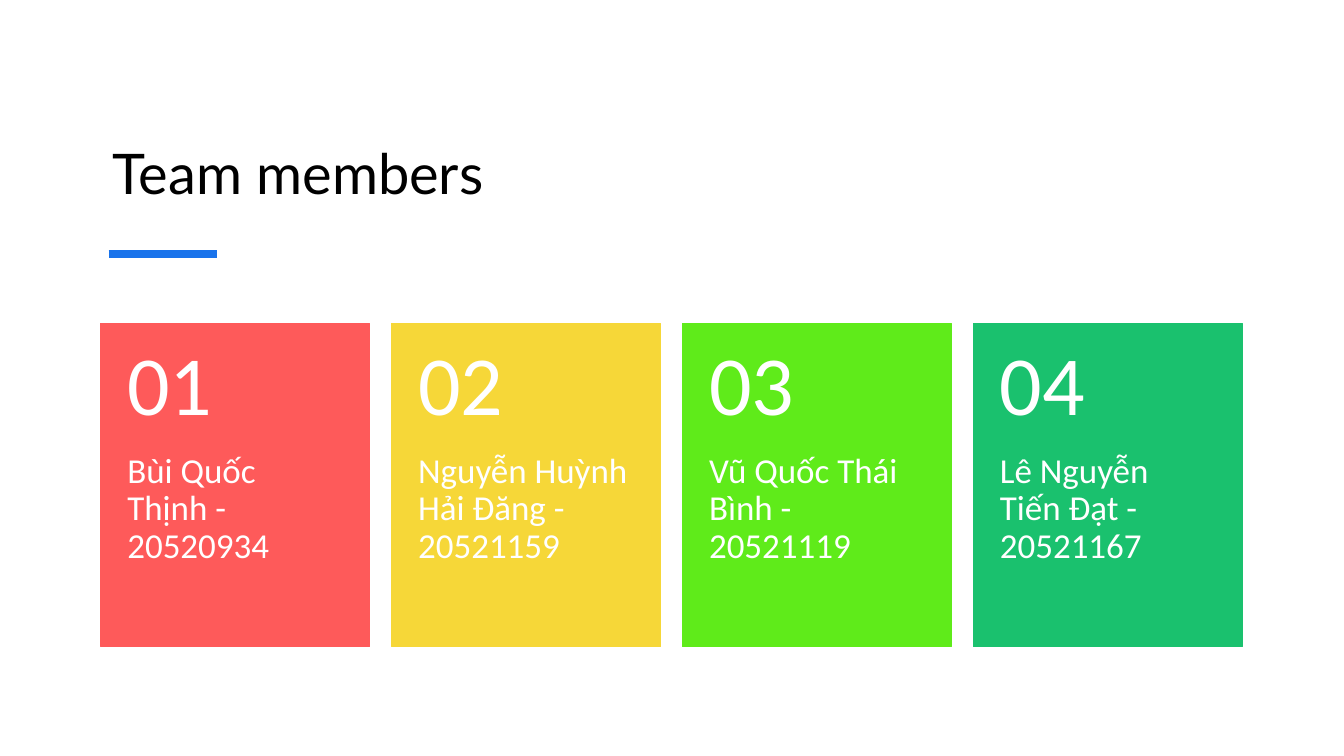
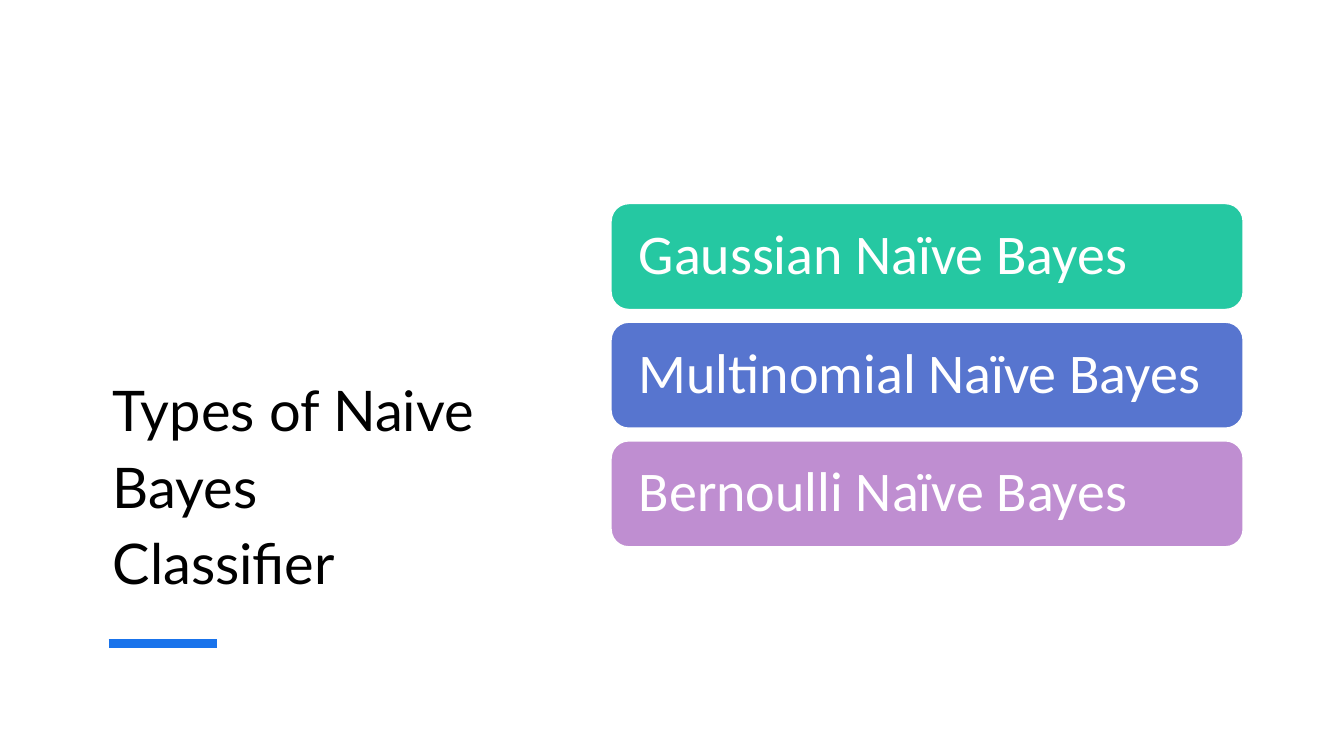
from lxml import etree
from pptx import Presentation
from pptx.dml.color import RGBColor
from pptx.enum import shapes, text
from pptx.oxml.ns import qn
from pptx.util import Cm, Pt

BLACK = RGBColor(0x00, 0x00, 0x00)
WHITE = RGBColor(0xFF, 0xFF, 0xFF)
ACCENT = RGBColor(0x19, 0x73, 0xEB)
RED = RGBColor(0xFE, 0x5A, 0x5A)
YELLOW = RGBColor(0xF6, 0xD7, 0x38)
LIME = RGBColor(0x5F, 0xEB, 0x1A)
GREEN = RGBColor(0x1A, 0xC1, 0x6E)
TEAL = RGBColor(0x25, 0xC8, 0xA2)
BLUE = RGBColor(0x57, 0x75, 0xCF)
PURPLE = RGBColor(0xBF, 0x8E, 0xD1)

TITLE_FONT = "Lato"
BODY_FONT = "Calibri"
MARGIN = 2.54

MEMBERS = [
    ("Bùi Quốc Thịnh - 20520934", RED),
    ("Nguyễn Huỳnh Hải Đăng - 20521159", YELLOW),
    ("Vũ Quốc Thái Bình - 20521119", LIME),
    ("Lê Nguyễn Tiến Đạt - 20521167", GREEN),
]
CLASSIFIERS = [
    ("Gaussian Naïve Bayes", TEAL),
    ("Multinomial Naïve Bayes", BLUE),
    ("Bernoulli Naïve Bayes", PURPLE),
]


class Deck:
    def __init__(self):
        self.prs = Presentation()
        self.prs.slide_width = Cm(33.87)
        self.prs.slide_height = Cm(19.05)
        self.s = None

    def add_slide(self):
        self.s = self.prs.slides.add_slide(self.prs.slide_layouts[5])

    def set_text(self, sp, content, size, insets, anchor,
                 font=BODY_FONT, color=WHITE, spacing=0.9):
        tf = sp.text_frame
        tf.text = content
        tf.word_wrap = True
        tf.auto_size = text.MSO_AUTO_SIZE.NONE
        tf.vertical_anchor = anchor
        tf.margin_left, tf.margin_top, tf.margin_right, tf.margin_bottom = map(Cm, insets)
        p = tf.paragraphs[0]
        p.alignment = text.PP_ALIGN.LEFT
        p.line_spacing = spacing
        for r in p.runs:
            r.font.name = font
            r.font.size = Pt(size)
            r.font.color.rgb = color

    def title(self, content, top, width, height, rule_y):
        sp = self.s.shapes.title
        sp.left, sp.top, sp.width, sp.height = map(Cm, (MARGIN, top, width, height))
        self.set_text(sp, content, 40, (0.3, 0.3, 0.3, 0.25), text.MSO_ANCHOR.BOTTOM,
                      TITLE_FONT, BLACK, 1.14)
        rule = self.s.shapes.add_connector(
            shapes.MSO_CONNECTOR.STRAIGHT, Cm(2.74), Cm(rule_y), Cm(5.46), Cm(rule_y))
        rule.line.color.rgb = ACCENT
        rule.line.width = Pt(6)
        etree.SubElement(rule._element.spPr, qn("a:effectLst"))

    def box(self, kind, left, top, width, height, fill, line):
        sp = self.s.shapes.add_shape(kind, *map(Cm, (left, top, width, height)))
        sp.shadow.inherit = False
        sp.fill.solid()
        sp.fill.fore_color.rgb = fill
        sp.line.color.rgb = line
        sp.line.width = Pt(1)
        return sp

    def label(self, content, left, top, width, height, size, insets, anchor):
        sp = self.s.shapes.add_textbox(*map(Cm, (left, top, width, height)))
        self.set_text(sp, content, size, insets, anchor)

    def card(self, number, name, left, color):
        top, width, height, number_height = 8.15, 6.78, 8.15, 3.26
        self.box(shapes.MSO_SHAPE.RECTANGLE, left, top, width, height, color, color)
        self.label(f"{number:02}", left, top, width, number_height, 60,
                   (0.67, 0.46, 0.67, 0.46), text.MSO_ANCHOR.MIDDLE)
        self.label(name, left, top + number_height, width, height - number_height, 25,
                   (0.67, 0, 0.67, 0.91), text.MSO_ANCHOR.TOP)

    def bar(self, content, top, color):
        sp = self.box(shapes.MSO_SHAPE.ROUNDED_RECTANGLE, 15.4, top, 15.93, 2.67,
                      color, WHITE)
        self.set_text(sp, content, 40, (0.57, 0.45, 0.57, 0.45), text.MSO_ANCHOR.MIDDLE)


def main():
    deck = Deck()

    deck.add_slide()
    deck.title("Team members", 1.57, 28.09, 3.86, 6.4)
    for i, (name, color) in enumerate(MEMBERS):
        deck.card(i + 1, name, MARGIN + i * 7.33, color)

    deck.add_slide()
    deck.title("Types of Naive Bayes Classifier", 2.54, 9.86, 12.73, 16.21)
    for i, (name, color) in enumerate(CLASSIFIERS):
        deck.bar(name, 5.13 + i * 2.99, color)

    deck.prs.save("out.pptx")


if __name__ == "__main__":
    main()
